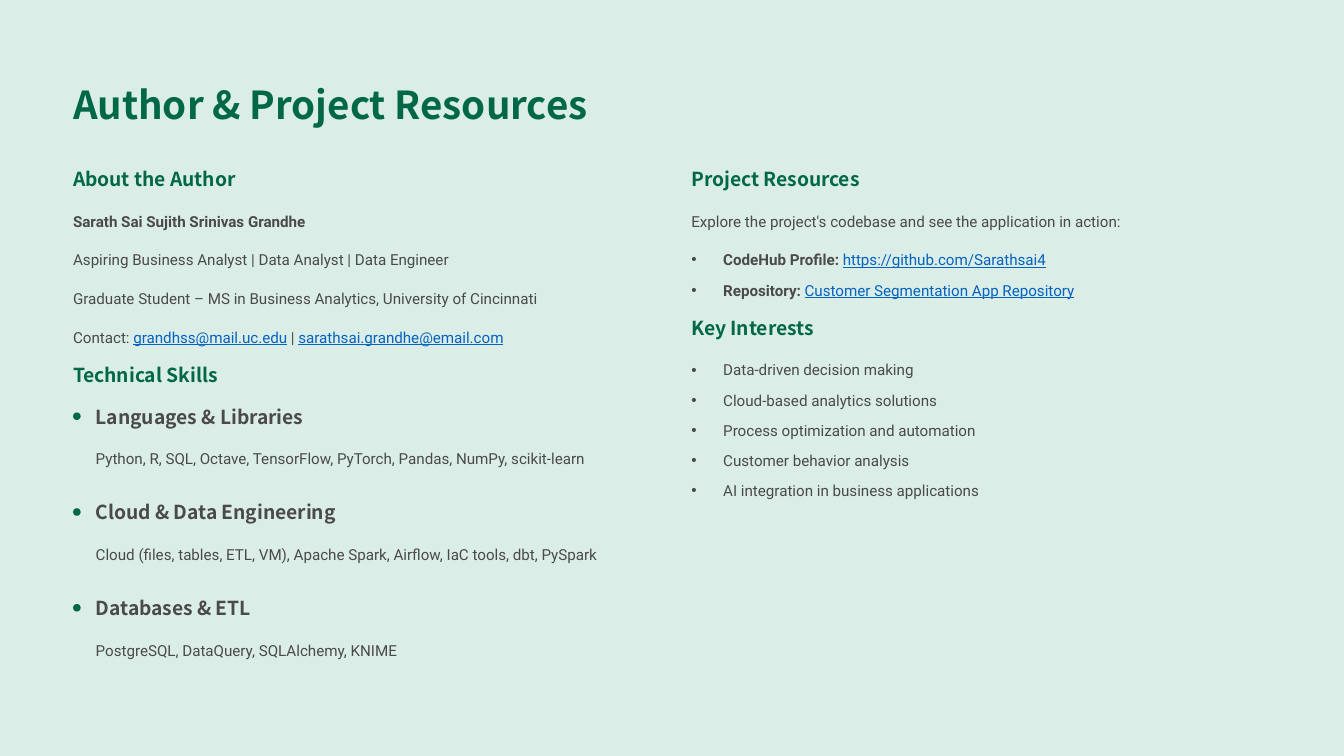
from lxml import etree
from pptx import Presentation
from pptx.dml.color import RGBColor
from pptx.enum.shapes import MSO_SHAPE
from pptx.oxml.ns import qn
from pptx.util import Inches, Pt

ROUNDED = MSO_SHAPE.ROUNDED_RECTANGLE
MINT = RGBColor(0xDA, 0xED, 0xE6)
GREEN = RGBColor(0x00, 0x67, 0x47)
GRAY = RGBColor(0x4B, 0x4A, 0x4A)
BLUE = RGBColor(0x05, 0x63, 0xC1)

HEADING_FONT = "Noto Sans CJK SC"
TITLE = {"name": HEADING_FONT, "size": Pt(33), "bold": True}
HEADING = {"name": HEADING_FONT, "size": Pt(16.5), "bold": True}
BODY = {"name": "Roboto", "size": Pt(13), "bold": False}
STRONG = {**BODY, "bold": True}
LINK = {**BODY, "underline": True}

LEFT, RIGHT, SKILL_LEFT = 0.87, 8.23, 1.14
BODY_WIDTH, SKILL_WIDTH = 6.91, 6.63
BULLET_INDENT = Inches(0.38)

presentation = Presentation()
presentation.slide_width = Inches(16)
presentation.slide_height = Inches(9)
slide = presentation.slides.add_slide(presentation.slide_layouts[6])
slide.background.fill.solid()
slide.background.fill.fore_color.rgb = MINT


def add_line(left, top, width, height, spacing, runs, bullet=False):
    """Add one line of text made of (text, format, colour) runs."""
    box = slide.shapes.add_textbox(Inches(left), Inches(top), Inches(width), Inches(height))
    frame = box.text_frame
    frame.word_wrap = False
    for side in ("left", "top", "right", "bottom"):
        setattr(frame, f"margin_{side}", 0)
    paragraph = frame.paragraphs[0]
    paragraph.line_spacing = Pt(spacing)
    if bullet:
        properties = paragraph._p.get_or_add_pPr()
        properties.set("marL", str(BULLET_INDENT))
        properties.set("indent", str(-BULLET_INDENT))
        etree.SubElement(properties, qn("a:buFont")).set("typeface", "Arial")
        etree.SubElement(properties, qn("a:buChar")).set("char", "•")
    for text, style, color in runs:
        run = paragraph.add_run()
        run.text = text
        for name, value in style.items():
            setattr(run.font, name, value)
        run.font.color.rgb = color


def add_heading(left, top, text, color=GREEN, width=2.31):
    add_line(left, top, width, 0.29, 20.5, [(text, HEADING, color)])


# Title and section headings
add_line(LEFT, 0.94, 6.45, 0.58, 41.5, [("Author & Project Resources", TITLE, GREEN)])
for left, top, text in [
    (LEFT, 1.98, "About the Author"),
    (LEFT, 4.31, "Technical Skills"),
    (RIGHT, 1.98, "Project Resources"),
    (RIGHT, 3.75, "Key Interests"),
]:
    add_heading(left, top, text)

# About the author
author_lines = [
    [("Sarath Sai Sujith Srinivas Grandhe", STRONG, GRAY)],
    [("Aspiring Business Analyst | Data Analyst | Data Engineer", BODY, GRAY)],
    [("Graduate Student – MS in Business Analytics, University of Cincinnati", BODY, GRAY)],
    [
        ("Contact: ", BODY, GRAY),
        ("grandhss@mail.uc.edu", LINK, BLUE),
        (" | ", BODY, GRAY),
        ("sarathsai.grandhe@email.com", LINK, BLUE),
    ],
]
for row, runs in enumerate(author_lines):
    add_line(LEFT, 2.45 + 0.46 * row, BODY_WIDTH, 0.3, 21, runs)

# Technical skills
skills = [
    ("Languages & Libraries", 2.62,
     "Python, R, SQL, Octave, TensorFlow, PyTorch, Pandas, NumPy, scikit-learn"),
    ("Cloud & Data Engineering", 3.03,
     "Cloud (files, tables, ETL, VM), Apache Spark, Airflow, IaC tools, dbt, PySpark"),
    ("Databases & ETL", 2.31, "PostgreSQL, DataQuery, SQLAlchemy, KNIME"),
]
for row, (heading, width, details) in enumerate(skills):
    top = 4.81 + 1.14 * row
    dot = slide.shapes.add_shape(ROUNDED, Inches(LEFT), Inches(top + 0.1), Inches(0.09), Inches(0.09))
    dot.adjustments[0] = 0.5
    dot.shadow.inherit = False
    dot.fill.solid()
    dot.fill.fore_color.rgb = GREEN
    dot.line.fill.background()
    add_heading(SKILL_LEFT, top, heading, GRAY, width)
    add_line(SKILL_LEFT, top + 0.47, SKILL_WIDTH, 0.3, 21, [(details, BODY, GRAY)])

# Project resources
add_line(RIGHT, 2.45, BODY_WIDTH, 0.3, 21,
         [("Explore the project's codebase and see the application in action:", BODY, GRAY)])
resources = [
    [("CodeHub Profile: ", STRONG, GRAY), ("https://github.com/Sarathsai4", LINK, BLUE)],
    [("Repository: ", STRONG, GRAY), ("Customer Segmentation App Repository", LINK, BLUE)],
]

# Key interests
interests = [
    [(text, BODY, GRAY)]
    for text in (
        "Data-driven decision making",
        "Cloud-based analytics solutions",
        "Process optimization and automation",
        "Customer behavior analysis",
        "AI integration in business applications",
    )
]

# Bulleted lists of the right column
for first_top, items in [(2.91, resources), (4.22, interests)]:
    for row, runs in enumerate(items):
        add_line(RIGHT, first_top + 0.36 * row, BODY_WIDTH, 0.3, 21, runs, bullet=True)

presentation.save("out.pptx")
